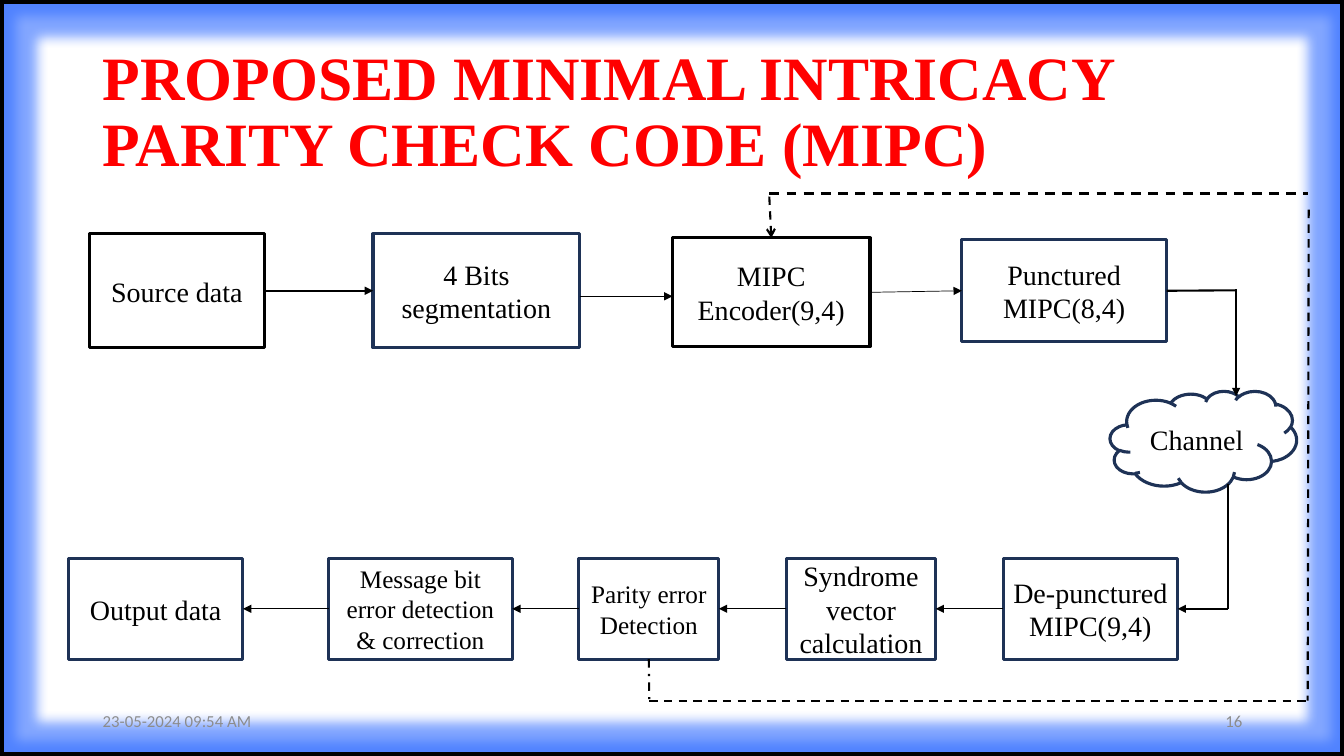
from lxml import etree
from pptx import Presentation
from pptx import util as u
from pptx.dml.color import RGBColor
from pptx.enum import dml, shapes, text
from pptx.oxml import parse_xml
from pptx.oxml.ns import nsdecls, qn

BLACK = RGBColor(0x00, 0x00, 0x00)
WHITE = RGBColor(0xFF, 0xFF, 0xFF)
NAVY = RGBColor(0x1E, 0x32, 0x56)
RED = RGBColor(0xFF, 0x00, 0x00)
GREY = RGBColor(0x8C, 0x8C, 0x8C)
SERIF = "Times New Roman"
CELL = u.Inches(0.1)  # the slide is a grid of 133.3 columns by 75 rows
COLUMNS, ROWS = 133.3, 75


def write(box, words, size, color, align, font=SERIF, bold=False):
    """Put one formatted run, centred vertically, into a shape."""
    frame = box.text_frame
    frame.word_wrap = True
    frame.vertical_anchor = text.MSO_ANCHOR.MIDDLE
    para = frame.paragraphs[0]
    para.alignment = align
    span = para.add_run()
    span.text = words
    span.font.name, span.font.size = font, u.Pt(size)
    span.font.bold, span.font.color.rgb = bold, color
    return para


def link(start, end, width, head=None, dash=None):
    """Draw a line; each end is a grid point or a (shape, side) pair."""
    points = [(0, 0) if hasattr(spot[0], "shape_id") else spot for spot in (start, end)]
    line = page.shapes.add_connector(
        shapes.MSO_CONNECTOR.STRAIGHT,
        *[int(value * CELL) for point in points for value in point])
    for spot, join in ((start, line.begin_connect), (end, line.end_connect)):
        if hasattr(spot[0], "shape_id"):
            join(*spot)
    line.line.color.rgb, line.line.width = BLACK, u.Pt(width)
    if dash:
        line.line.dash_style = dash
    if head:
        etree.SubElement(line.line._get_or_add_ln(), qn("a:tailEnd"), type=head)
    etree.SubElement(line._element.spPr, qn("a:effectLst"))


deck = Presentation()
deck.slide_width, deck.slide_height = int(COLUMNS * CELL), ROWS * CELL
page = deck.slides.add_slide(deck.slide_layouts[5])

# Title
title = page.shapes.title
title.left, title.top, title.width, title.height = [
    int(value * CELL) for value in (9.2, 4, 115, 14.5)]
para = write(title, "PROPOSED MINIMAL INTRICACY PARITY CHECK CODE (MIPC)",
             44, RED, text.PP_ALIGN.LEFT, bold=True)
para.line_spacing = 0.9

# Glowing frame
frame = page.shapes.add_shape(
    shapes.MSO_SHAPE.RECTANGLE, 0, 0, deck.slide_width, deck.slide_height)
frame.fill.background()
frame.line.color.rgb, frame.line.width = BLACK, u.Pt(6)
frame._element.spPr.append(parse_xml(
    f'<a:effectLst {nsdecls("a")}><a:glow rad="228600"><a:srgbClr val="2F6BFF">'
    '<a:alpha val="60000"/></a:srgbClr></a:glow></a:effectLst>'))

# Date and slide number
for words, left, align in (("23-05-2024 09:54 AM", 9.2, text.PP_ALIGN.LEFT),
                           ("16", 94.2, text.PP_ALIGN.RIGHT)):
    footer = page.shapes.add_textbox(
        *[int(value * CELL) for value in (left, 69.5, 30, 4)])
    write(footer, words, 12, GREY, align, "Calibri")

# Stages: label, left, top, width, height, text size, outline
LOWER, TALL = 55.4, 10
stages = {}
for name, words, left, top, width, height, size, outline in (
    ("source", "Source data", 8.9, 23.2, 17.3, 11.3, 20, BLACK),
    ("segmentation", "4 Bits segmentation", 37, 23.2, 20.5, 11.3, 20, NAVY),
    ("encoder", "MIPC Encoder(9,4)", 66.7, 23.6, 19.6, 10.8, 20, BLACK),
    ("punctured", "Punctured MIPC(8,4)", 95.4, 23.8, 20.3, 10.1, 20, NAVY),
    ("channel", "Channel", 110.1, 38.8, 18.5, TALL, 20, NAVY),
    ("depunctured", "De-punctured MIPC(9,4)", 99.5, LOWER, 17.3, TALL, 20, NAVY),
    ("syndrome", "Syndrome vector calculation", 78, LOWER, 14.8, TALL, 20, NAVY),
    ("parity", "Parity error Detection", 57.4, LOWER, 13.9, TALL, 18, NAVY),
    ("message", "Message bit error detection & correction",
     32.6, LOWER, 18.2, TALL, 18, NAVY),
    ("output", "Output data", 6.8, LOWER, 17.3, TALL, 20, NAVY),
):
    kind = shapes.MSO_SHAPE.CLOUD if name == "channel" else shapes.MSO_SHAPE.RECTANGLE
    box = page.shapes.add_shape(
        kind, *[int(value * CELL) for value in (left, top, width, height)])
    box.shadow.inherit = False
    box.fill.solid()
    box.fill.fore_color.rgb = WHITE
    box.line.color.rgb, box.line.width = outline, u.Pt(2.25)
    write(box, words, size, BLACK, text.PP_ALIGN.CENTER)
    stages[name] = box

# Upper row, left to right
TOP, LEFT, BOTTOM, RIGHT = range(4)
link((stages["source"], RIGHT), (stages["segmentation"], LEFT), 1.5, "triangle")
link((57.5, 29.4), (66.7, 29.4), 0.5, "triangle")
link((stages["encoder"], RIGHT), (stages["punctured"], LEFT), 0.5, "triangle")

# Through the channel
link((stages["punctured"], RIGHT), (122.6, 28.8), 1.5)
link((122.6, 28.7), (122.6, 39.3), 1.5, "triangle")
link((121.8, 48), (121.8, 60.4), 1.5)
link((121.8, 60.4), (stages["depunctured"], RIGHT), 1.5, "triangle")

# Lower row, right to left
lower = ["depunctured", "syndrome", "parity", "message", "output"]
for giver, taker in zip(lower, lower[1:]):
    link((stages[giver], LEFT), (stages[taker], RIGHT), 0.5, "triangle")

# Feedback from parity check to encoder
DASH = dml.MSO_LINE.DASH
link((stages["parity"], BOTTOM), (64.4, 69.5), 1.5, dash=dml.MSO_LINE.DASH_DOT)
link((64.4, 69.5), (129.8, 69.5), 1.5, dash=DASH)
link((129.8, 20.8), (129.7, 69.5), 1.5, dash=DASH)
link((76.3, 19.2), (129.7, 19.2), 1.75, dash=DASH)
link((76.3, 19.5), (stages["encoder"], TOP), 1.5, "arrow", DASH)

deck.save("out.pptx")
